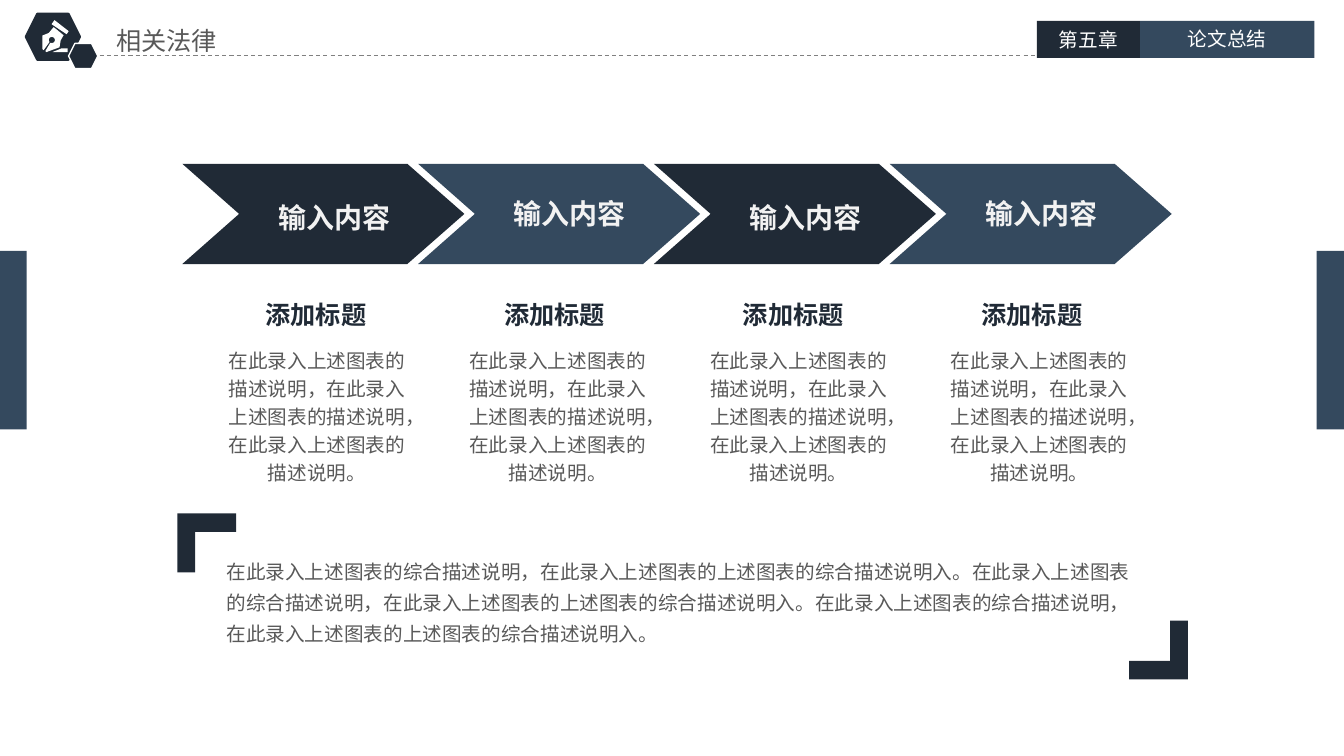
from math import cos, pi, sin

from lxml import etree
from pptx import Presentation
from pptx.dml.color import RGBColor
from pptx.enum.dml import MSO_LINE
from pptx.enum.shapes import MSO_CONNECTOR, MSO_SHAPE
from pptx.enum.text import MSO_ANCHOR, MSO_AUTO_SIZE, PP_ALIGN
from pptx.oxml.ns import qn
from pptx.util import Pt

RECT, HEXAGON = MSO_SHAPE.RECTANGLE, MSO_SHAPE.HEXAGON
LEFT, CENTER = PP_ALIGN.LEFT, PP_ALIGN.CENTER
TOP, MIDDLE = MSO_ANCHOR.TOP, MSO_ANCHOR.MIDDLE
DARK, BLUE, GREY, WHITE = "202A36", "34495E", "595959", "FFFFFF"
SANS = "Noto Sans CJK SC"

# Content
TITLE = "相关法律"
CHAPTER, SECTION = "第五章", "论文总结"
DETAIL = "在此录入上述图表的描述说明，在此录入上述图表的描述说明，在此录入上述图表的描述说明。"
STEPS = [("输入内容", "添加标题", DETAIL)] * 4
SUMMARY = (
    "在此录入上述图表的综合描述说明，在此录入上述图表的上述图表的综合描述说明入。"
    "在此录入上述图表的综合描述说明，在此录入上述图表的上述图表的综合描述说明入。"
    "在此录入上述图表的综合描述说明，在此录入上述图表的上述图表的综合描述说明入。"
)

# Text formats
HEADING = dict(size=Pt(18), name=SANS, bold=False)
STEP_TITLE = dict(size=Pt(18), name=SANS, bold=True)
BODY = dict(size=Pt(14), name=SANS, bold=False)
LABEL = dict(size=Pt(20), name="Arial", bold=True)

# Outlines in points, relative to each shape's corner
CHEVRON = [(0, 0), (160.8, 0), (201.6, 35.8), (160.8, 71.6), (0, 71.6), (40.6, 35.8)]
BRACKET = [(0, 0), (42, 0), (42, 13.2), (12.8, 13.2), (12.8, 42), (0, 42)]
NIB_EYE = [(6.7 + 2.2 * cos(k * pi / 8), 14.2 + 2.2 * sin(k * pi / 8)) for k in range(16)]
PEN = [
    [(0.8, 21.5), (0, 20.8), (0, 11), (4.5, 9.2), (8, 5), (15.1, 10.8),
     (13, 14.5), (12.2, 19.4), (2.9, 22.8), (2, 22.2), (5.6, 16.2),
     *NIB_EYE[5::-1], *NIB_EYE[:5:-1], (5, 15.7)],
    [(7.2, 22.8), (18, 22.8), (18, 20.2), (13.6, 20.2)],
    [(17.3, 10.1), (18.7, 7.9), (8.6, 0), (6.5, 2.9)],
]


def rgb(color):
    return RGBColor.from_string(color)


def paint(shape, fill, line=None, width=0):
    shape.shadow.inherit = False
    shape.fill.solid()
    shape.fill.fore_color.rgb = rgb(fill)
    if line:
        shape.line.color.rgb = rgb(line)
        shape.line.width = Pt(width)
    else:
        shape.line.fill.background()


def add_block(s, kind, box, fill, line=None, width=0):
    paint(s.shapes.add_shape(kind, *map(Pt, box)), fill, line, width)


def add_outline(s, x, y, contours, fill):
    contours = [[(Pt(x + dx), Pt(y + dy)) for dx, dy in c] for c in contours]
    builder = s.shapes.build_freeform(*contours[0][0])
    for i, points in enumerate(contours):
        if i:
            builder.move_to(*points[0])
        builder.add_line_segments(points[1:], close=True)
    paint(builder.convert_to_shape(), fill)


def write(sp, text, fmt, color, align=LEFT, anchor=TOP, spacing=1.0, wrap=True, inset=(7.2, 3.6)):
    tf = sp.text_frame
    settings = dict(word_wrap=wrap, auto_size=MSO_AUTO_SIZE.NONE, vertical_anchor=anchor,
                    margin_left=Pt(inset[0]), margin_right=Pt(inset[0]),
                    margin_top=Pt(inset[1]), margin_bottom=Pt(inset[1]))
    for key, value in settings.items():
        setattr(tf, key, value)
    p = tf.paragraphs[0]
    p.alignment, p.line_spacing = align, spacing
    r = p.add_run()
    r.text = text
    for key, value in fmt.items():
        setattr(r.font, key, value)
    r.font.color.rgb = rgb(color)
    etree.SubElement(r.font._element, qn("a:ea"), typeface=fmt["name"])


def add_text(s, box, *args, **kwargs):
    write(s.shapes.add_textbox(*map(Pt, box)), *args, **kwargs)


def add_header(s):
    title = s.shapes.title
    title.left, title.top, title.width, title.height = map(Pt, (78, 15, 148, 27.4))
    write(title, TITLE, HEADING, GREY, inset=(5, 2.9))

    rule = s.shapes.add_connector(MSO_CONNECTOR.STRAIGHT, Pt(66), Pt(39.6), Pt(741), Pt(39.6))
    rule.line.color.rgb = rgb("808080")
    rule.line.width = Pt(0.75)
    rule.line.dash_style = MSO_LINE.DASH
    etree.SubElement(rule._element.spPr, qn("a:effectLst"))

    # Chapter tags
    for text, x, y, width, fill in ((CHAPTER, 741, 17, 73.6, DARK), (SECTION, 814.8, 16.4, 124.6, BLUE)):
        add_block(s, RECT, (x, 15, width, 26.4), fill)
        add_text(s, (x, y, width, 22.4), text, BODY, WHITE, CENTER, inset=(5, 2.9))

    # Pen badge
    add_block(s, HEXAGON, (18.7, 10, 38.2, 32.6), DARK, DARK, 2)
    add_block(s, HEXAGON, (49, 31, 20.9, 18), DARK, WHITE, 1)
    add_outline(s, 30.4, 14.4, PEN, WHITE)


def add_steps(s):
    for i, (label, heading, detail) in enumerate(STEPS):
        x = 130.3 + 168.5 * i
        fill, spacing = ((DARK, 1.2), (BLUE, 1.0))[i % 2]
        add_outline(s, x, 117, [CHEVRON], fill)
        add_text(s, (x + 23, 136, 171, 33), label, LABEL, "F2F2F2", CENTER, MIDDLE, spacing)
        add_text(s, (182.2 + 170.6 * i, 210.2, 87, 28.8), heading, STEP_TITLE, DARK, CENTER, wrap=False)
        add_text(s, (152 + 172.1 * i, 242, 149, 108.7), detail, BODY, GREY, CENTER, spacing=1.2)


def add_summary(s):
    add_outline(s, 126.7, 366.8, [BRACKET], DARK)
    add_outline(s, 849, 485.3, [[(-dx, -dy) for dx, dy in BRACKET]], DARK)
    add_text(s, (154.8, 391.7, 673, 71.3), SUMMARY, BODY, GREY, spacing=1.3)


def main():
    prs = Presentation()
    prs.slide_width, prs.slide_height = Pt(960.5), Pt(540)
    s = prs.slides.add_slide(prs.slide_layouts[5])
    add_header(s)
    for x in (-2, 941):
        add_block(s, RECT, (x, 179.3, 21, 127.4), BLUE)
    add_steps(s)
    add_summary(s)
    prs.save("out.pptx")


if __name__ == "__main__":
    main()
